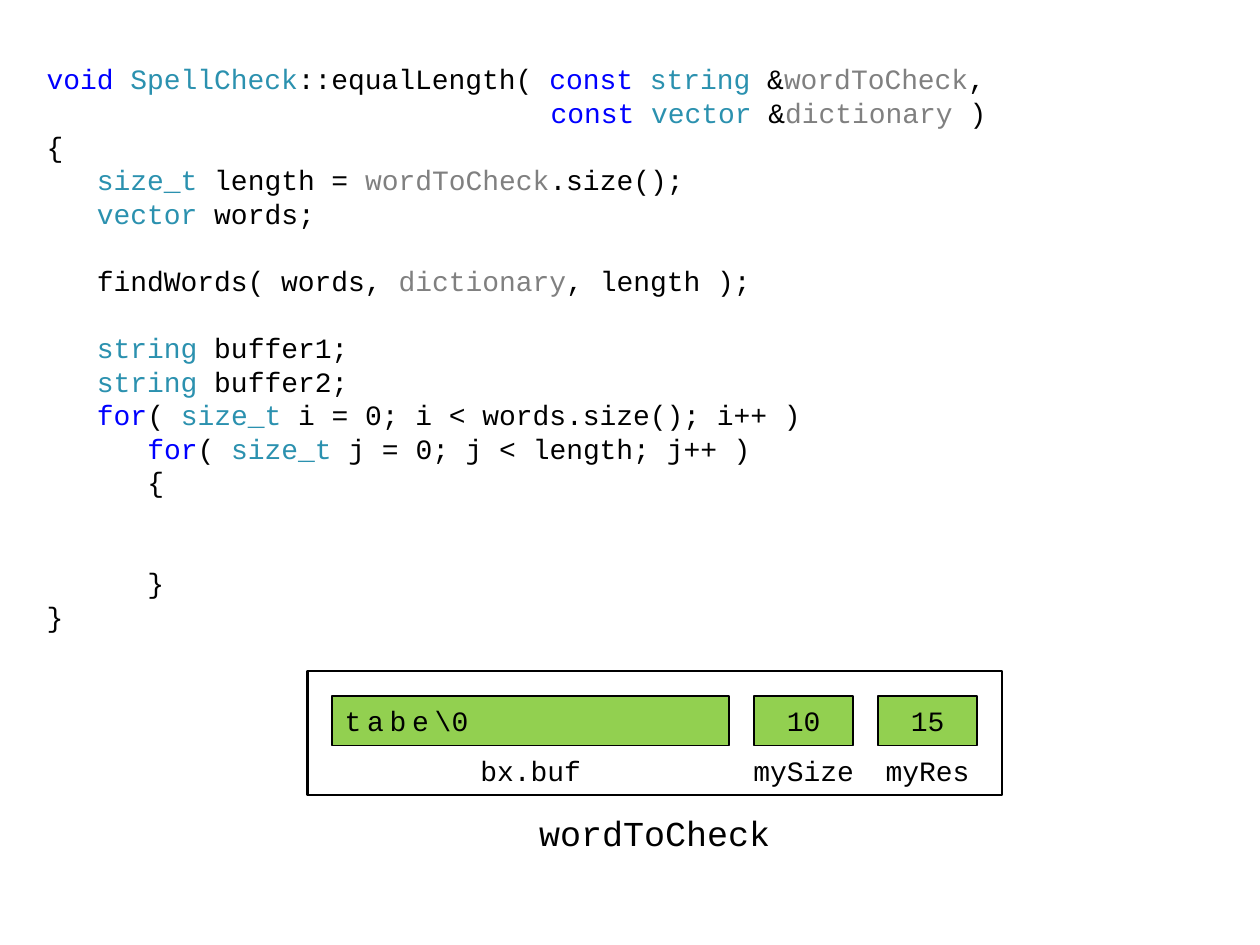
import itertools

import pptx
import pptx.dml.color
import pptx.enum.shapes
import pptx.enum.text
import pptx.util

Cm, Pt = pptx.util.Cm, pptx.util.Pt
SHAPES = pptx.enum.shapes.MSO_SHAPE
ALIGN = pptx.enum.text.PP_ALIGN
MIDDLE = pptx.enum.text.MSO_ANCHOR.MIDDLE

FONT = "Courier New"
CODE_SIZE = 16
CHAR_WIDTH = 0.6 * CODE_SIZE
LINE_PITCH = 19.2
BLACK, WHITE, GREEN = "000000", "FFFFFF", "92D050"
WORD_COLOURS = {
    **dict.fromkeys(["void", "const", "for"], "0000FF"),
    **dict.fromkeys(["SpellCheck", "string", "vector", "size_t"], "2B91AF"),
    **dict.fromkeys(["wordToCheck", "dictionary"], "808080"),
}

# Each line: indent in characters, blank lines above, code
CODE = [
    (0, 0, "void SpellCheck::equalLength( const string &wordToCheck,"),
    (30, 0, "const vector &dictionary )"),
    (0, 0, "{"),
    (3, 0, "size_t length = wordToCheck.size();"),
    (3, 0, "vector words;"),
    (3, 1, "findWords( words, dictionary, length );"),
    (3, 1, "string buffer1;"),
    (3, 0, "string buffer2;"),
    (3, 0, "for( size_t i = 0; i < words.size(); i++ )"),
    (6, 0, "for( size_t j = 0; j < length; j++ )"),
    (6, 0, "{"),
    (6, 2, "}"),
    (0, 0, "}"),
]


def colour(hex_code):
    """Turn a hex string into a colour."""
    return pptx.dml.color.RGBColor.from_string(hex_code)


def set_font(font, size):
    """Apply the code typeface in black."""
    font.name, font.size = FONT, Pt(size)
    font.color.rgb = colour(BLACK)


def coloured_parts(code):
    """Split a code line into (colour, text) parts."""
    tokens = ("".join(chars) for _, chars in itertools.groupby(
        code, lambda char: char.isalnum() or char == "_"))
    for shade, group in itertools.groupby(
            tokens, lambda token: WORD_COLOURS.get(token, BLACK)):
        yield shade, "".join(group)


def add_code(slide, left, top, width, height):
    """Place the highlighted listing in the given box (cm)."""
    frame = slide.shapes.add_textbox(
        Cm(left), Cm(top), Cm(width), Cm(height)).text_frame
    frame.word_wrap = True
    frame.margin_top = Cm(0.23)
    for number, (indent, blanks, code) in enumerate(CODE):
        line = frame.add_paragraph() if number else frame.paragraphs[0]
        set_font(line.font, CODE_SIZE)
        line.line_spacing = Pt(LINE_PITCH)
        line.space_before = Pt(blanks * LINE_PITCH)
        line._p.get_or_add_pPr().set("marL", str(Pt(indent * CHAR_WIDTH)))
        for shade, text in coloured_parts(code):
            run = line.add_run()
            run.text = text
            run.font.color.rgb = colour(shade)


def add_box(slide, kind, left, top, width, height, fill, line_width):
    """Place an outlined, filled box (cm)."""
    box = slide.shapes.add_shape(
        kind, Cm(left), Cm(top), Cm(width), Cm(height))
    box.shadow.inherit = False
    box.fill.solid()
    box.fill.fore_color.rgb = colour(fill)
    box.line.color.rgb = colour(BLACK)
    box.line.width = Pt(line_width)
    return box


def write(shape, parts, size=CODE_SIZE, align=ALIGN.CENTER):
    """Write (text, letter spacing) parts as one centred-height line."""
    frame = shape.text_frame
    frame.word_wrap = True
    frame.vertical_anchor = MIDDLE
    line = frame.paragraphs[0]
    line.alignment = align
    set_font(line.font, size)
    for text, spacing in parts:
        run = line.add_run()
        run.text = text
        if spacing:
            run.font._element.set("spc", str(round(spacing * 100)))


def add_label(slide, text, centre, top, width, height, size=CODE_SIZE):
    """Place a plain label centred on a horizontal position (cm)."""
    label = slide.shapes.add_textbox(
        Cm(centre - width / 2), Cm(top), Cm(width), Cm(height))
    write(label, [(text, 0)], size)


def add_string_object(slide, left, top, width, height):
    """Draw the string's members in the given box (cm), named below."""
    gap, cell_height = 0.5, 1
    add_box(slide, SHAPES.FLOWCHART_PROCESS, left, top, width, height,
            WHITE, 1.5)
    members = [
        ("bx.buf", 8, [("tabe", 3.3), ("\\", -1.5), ("0", 0)], ALIGN.LEFT),
        ("mySize", 2, [("10", 0)], ALIGN.CENTER),
        ("myRes", 2, [("15", 0)], ALIGN.CENTER),
    ]
    cell_left, cell_top = left + gap, top + gap
    for name, cell_width, value, align in members:
        cell = add_box(slide, SHAPES.RECTANGLE, cell_left, cell_top,
                       cell_width, cell_height, GREEN, 1)
        write(cell, value, align=align)
        add_label(slide, name, cell_left + cell_width / 2,
                  cell_top + cell_height, 3, 1)
        cell_left += cell_width + gap
    add_label(slide, "wordToCheck", left + width / 2, top + height, 6, 1.5, 20)


def main():
    """Build and save the slide."""
    deck = pptx.Presentation()
    deck.slide_width, deck.slide_height = Cm(25.4), Cm(19.05)
    slide = deck.slides.add_slide(deck.slide_layouts[6])
    add_code(slide, 0.69, 1.02, 24, 12.01)
    add_string_object(slide, 6.2, 13.53, 14, 2.5)
    deck.save("out.pptx")


main()
